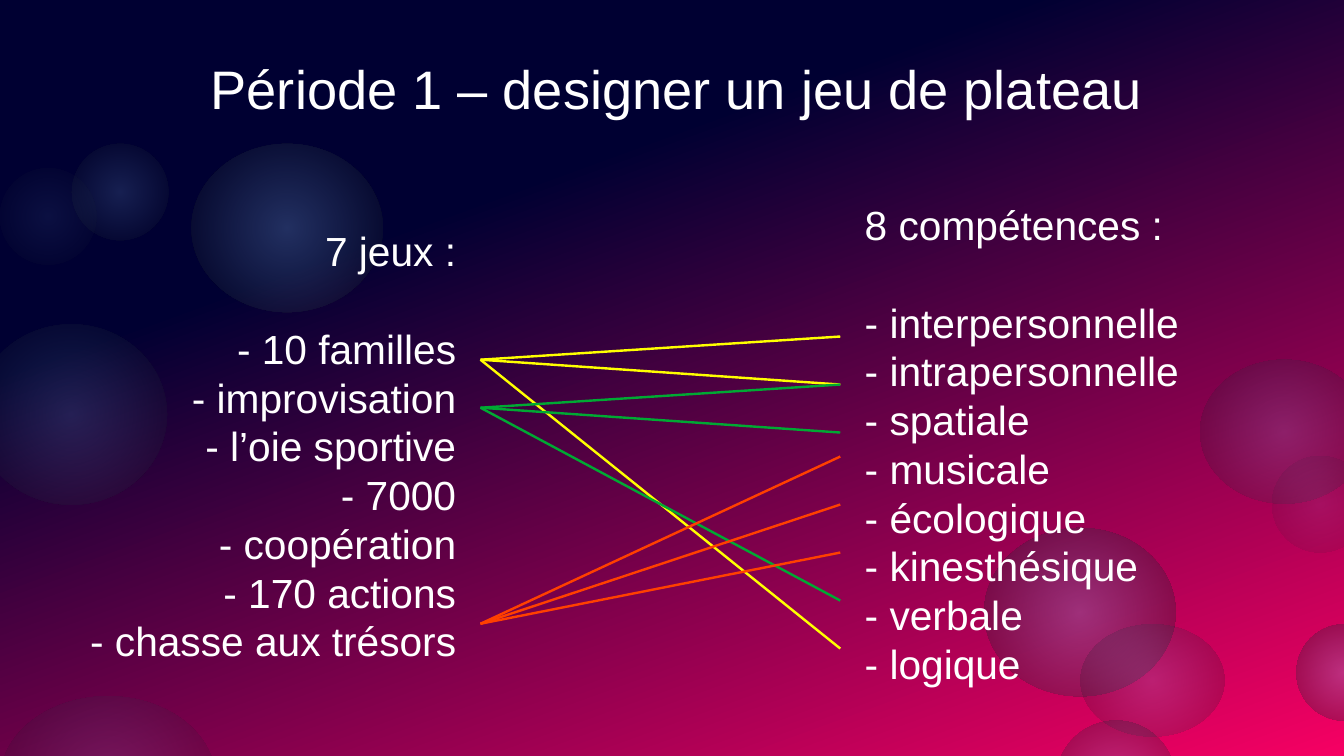
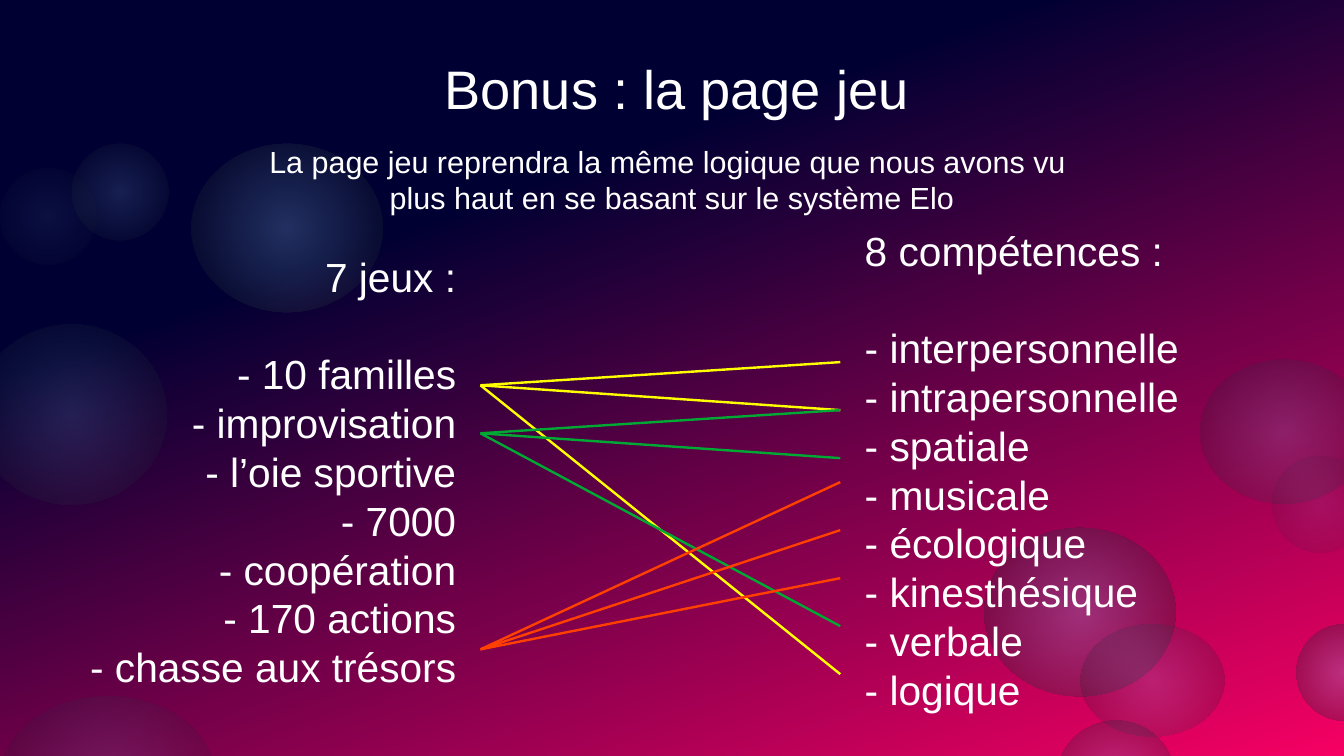
from dataclasses import dataclass

from lxml import etree
from pptx import Presentation
from pptx.dml.color import RGBColor
from pptx.enum.shapes import MSO_CONNECTOR, MSO_SHAPE
from pptx.enum.text import MSO_ANCHOR, MSO_AUTO_SIZE, PP_ALIGN
from pptx.oxml.ns import qn
from pptx.util import Inches, Pt

LEFT, CENTER, RIGHT = PP_ALIGN.LEFT, PP_ALIGN.CENTER, PP_ALIGN.RIGHT
TOP, MIDDLE = MSO_ANCHOR.TOP, MSO_ANCHOR.MIDDLE
RECT, OVAL = MSO_SHAPE.RECTANGLE, MSO_SHAPE.OVAL
STRAIGHT, FIXED = MSO_CONNECTOR.STRAIGHT, MSO_AUTO_SIZE.NONE


@dataclass(frozen=True)
class Theme:
    font: str = "Arial"
    ink: str = "FFFFFF"
    night: str = "000032"
    pink: str = "F60063"
    glow: str = "729FCF"
    edge: str = "000000"
    yellow: str = "FFFF00"
    green: str = "00A933"
    orange: str = "FF4000"
    title: float = 32
    list: float = 24
    note: float = 18
    gap: float = 28.7
    wire: float = 1.42


THEME = Theme()
WIDTH, HEIGHT = 11.02, 6.2
STEP = 1 / 2.54

BUBBLES = [
    (1.57, 1.18, 1.57, 1.38, 30),
    (8.07, 4.33, 1.57, 1.38, 30),
    (9.84, 2.95, 1.38, 1.18, 20),
    (-0.2, 2.66, 1.57, 1.48, 20),
    (0.59, 1.18, 0.79, 0.79, 20),
    (0, 1.38, 0.79, 0.79, 10),
    (0, 5.71, 1.77, 1.38, 15),
    (10.63, 5.12, 0.79, 0.79, 30),
    (10.43, 3.74, 0.79, 0.79, 10),
    (8.86, 5.12, 1.18, 0.92, 20),
    (8.66, 5.91, 0.98, 0.98, 25),
]
GAMES = [
    "7 jeux :", "- 10 familles", "- improvisation", "- l’oie sportive",
    "- 7000", "- coopération", "- 170 actions", "- chasse aux trésors",
]
SKILLS = [
    "8 compétences :", "- interpersonnelle", "- intrapersonnelle",
    "- spatiale", "- musicale", "- écologique", "- kinesthésique",
    "- verbale", "- logique",
]
LINKS = [
    (0, (0, 1, 7), THEME.yellow),
    (1, (6, 2, 1), THEME.green),
    (6, (4, 5, 3), THEME.orange),
]


def blend(shape, stops, alpha=100, angle=None):
    shape.fill.background()
    props = shape.fill._xPr
    old = props.find(qn("a:noFill"))
    grad = etree.Element(qn("a:gradFill"), rotWithShape="1")
    group = etree.SubElement(grad, qn("a:gsLst"))
    for pos, color in stops:
        stop = etree.SubElement(group, qn("a:gs"), pos=str(pos * 1000))
        tint = etree.SubElement(stop, qn("a:srgbClr"), val=color)
        if alpha < 100:
            etree.SubElement(tint, qn("a:alpha"), val=str(alpha * 1000))
    if angle is None:
        round_ = etree.SubElement(grad, qn("a:path"))
        round_.set(qn("a:path").split("}")[1], "circle")
        etree.SubElement(round_, qn("a:fillToRect"),
                         l="50000", t="50000", r="50000", b="50000")
    else:
        etree.SubElement(grad, qn("a:lin"),
                         ang=str(angle * 60000), scaled="0")
    props.replace(old, grad)


def draw(slide, kind, box):
    shape = slide.shapes.add_shape(kind, *map(Inches, box))
    shape.shadow.inherit = False
    shape.line.fill.background()
    return shape


def scene(slide, box):
    left, top, width, height = box
    base = draw(slide, RECT, box)
    blend(base, [(30, THEME.night), (100, THEME.pink)], angle=70)
    for x, y, w, h, alpha in BUBBLES:
        ball = draw(slide, OVAL, (left + x, top + y, w, h))
        blend(ball, [(0, THEME.glow), (100, THEME.edge)], alpha)


def write(slide, box, lines, size, aligns, anchor=MIDDLE, pad=(0, 0)):
    frame = slide.shapes.add_textbox(*map(Inches, box)).text_frame
    frame.word_wrap = True
    frame.auto_size = FIXED
    frame.vertical_anchor = anchor
    frame.margin_left = frame.margin_right = Inches(pad[0])
    frame.margin_top = frame.margin_bottom = Inches(pad[1])
    frame.text = "\n".join(lines)
    for i, para in enumerate(frame.paragraphs):
        para.alignment = aligns[min(i, len(aligns) - 1)]
        for run in para.runs:
            run.font.name = THEME.font
            run.font.size = Pt(size)
            run.font.color.rgb = RGBColor.from_string(THEME.ink)
    return frame


def column(slide, box, lines, align):
    frame = write(slide, box, lines, THEME.list, [align])
    frame.paragraphs[1].space_before = Pt(THEME.gap)


def level(row):
    return STEP * (row if row < 3 else row - 0.5)


def wire(slide, start, end, color):
    line = slide.shapes.add_connector(STRAIGHT, *map(Inches, start + end))
    line.line.color.rgb = RGBColor.from_string(color)
    line.line.width = Pt(THEME.wire)
    etree.SubElement(line._element.spPr, qn("a:effectLst"))


def match(slide, box):
    left, top, width, height = box
    side = 3.15
    column(slide, (left, top + 0.2, side, 3.35), GAMES, RIGHT)
    column(slide, (left + width - side, top, side, height), SKILLS, LEFT)
    near, far = left + side + 0.2, left + width - side - 0.2
    for game, skills, color in LINKS:
        for skill in skills:
            wire(slide, (near, top + 1.17 + level(game)),
                 (far, top + 0.98 + level(skill)), color)


def page(deck, title, top, note=None):
    slide = deck.slides.add_slide(deck.slide_layouts[6])
    scene(slide, (0, 0, WIDTH, HEIGHT))
    write(slide, (0.59, 0.2, 9.92, 1.04), [title], THEME.title, [CENTER])
    if note:
        write(slide, (2.11, 1.12, 6.8, 0.66), note, THEME.note,
              [LEFT, CENTER], TOP, (0.1, 0.05))
    match(slide, (0.59, top, 9.65, 3.72))


def main():
    deck = Presentation()
    deck.slide_width, deck.slide_height = Inches(WIDTH), Inches(HEIGHT)
    page(deck, "Période 1 – designer un jeu de plateau", 1.78)
    page(deck, "Bonus : la page jeu", 1.99, [
        "La page jeu reprendra la même logique que nous avons vu",
        "plus haut en se basant sur le système Elo",
    ])
    deck.save("out.pptx")


if __name__ == "__main__":
    main()
